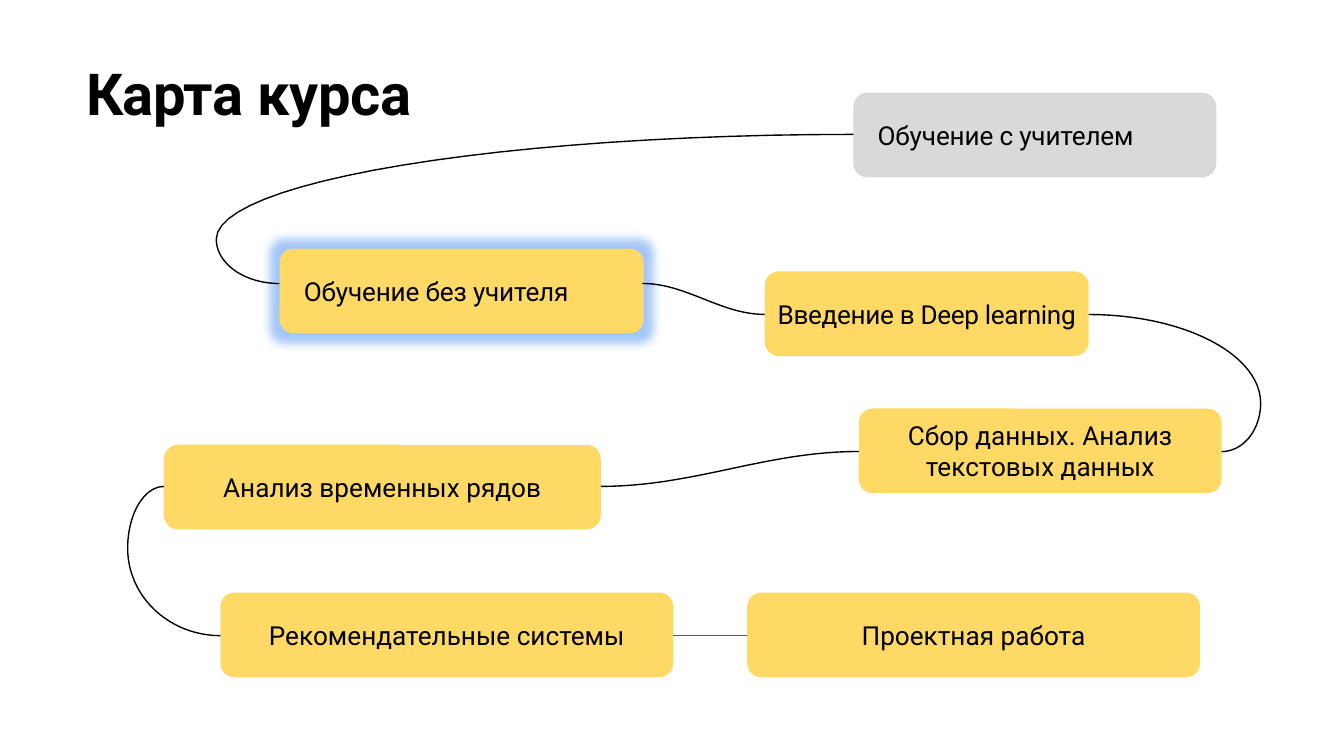
from math import cos, pi, sin

from lxml import etree
from pptx import Presentation
from pptx.dml.color import RGBColor
from pptx.enum.shapes import MSO_CONNECTOR, MSO_SHAPE
from pptx.enum.text import MSO_ANCHOR, PP_ALIGN
from pptx.oxml.ns import qn
from pptx.util import Inches, Pt

ROUNDED = MSO_SHAPE.ROUNDED_RECTANGLE
STRAIGHT = MSO_CONNECTOR.STRAIGHT
LEFT, CENTER = PP_ALIGN.LEFT, PP_ALIGN.CENTER
MIDDLE, TOP = MSO_ANCHOR.MIDDLE, MSO_ANCHOR.TOP

FONT = "Roboto"
COLORS = {
    "text": "000000",
    "done": "D9D9D9",
    "topic": "FFD966",
    "glow": "4A90F0",
    "path": "000000",
    "last_path": "595959",
}
TOPIC_HEIGHT = 0.63
CURVE_STEPS = 24

# text, left, top, width, fill, alignment, side inset, letter spacing
CURRENT_TOPIC = ("Обучение без учителя", 2.08, 1.85, 2.71, "topic", LEFT, 0.15, -0.1)
OTHER_TOPICS = [
    ("Обучение с учителем", 6.35, 0.69, 2.7, "done", LEFT, 0.15, -0.1),
    ("Введение в Deep learning", 5.69, 2.02, 2.41, "topic", CENTER, 0, -0.2),
    ("Анализ временных рядов", 1.22, 3.31, 3.25, "topic", CENTER, 0, 0),
    ("Сбор данных. Анализ текстовых данных", 6.39, 3.04, 2.7, "topic", CENTER, 0, 0),
    ("Рекомендательные системы", 1.64, 4.41, 3.37, "topic", CENTER, 0, 0),
    ("Проектная работа", 5.56, 4.41, 3.37, "topic", CENTER, 0, 0),
]

# start, outermost point of the bend, end
LOOPS = [
    ((6.35, 1.0), (1.61, 1.78), (2.08, 2.11)),
    ((8.1, 2.34), (9.38, 3.0), (9.09, 3.36)),
    ((1.22, 3.62), (0.95, 4.08), (1.64, 4.73)),
]

# start, end
WAVES = [
    ((4.78, 2.11), (5.69, 2.34)),
    ((4.47, 3.62), (6.39, 3.36)),
]


def rgb(name):
    return RGBColor.from_string(COLORS[name])


def style_font(font, size, bold=False):
    font.name = FONT
    font.size = Pt(size)
    font.bold = bold
    font.color.rgb = rgb("text")


def set_insets(frame, side, top, bottom):
    frame.margin_left = frame.margin_right = Inches(side)
    frame.margin_top, frame.margin_bottom = Inches(top), Inches(bottom)


def add_spaced_run(paragraph, text, spacing):
    """Add a run with letter spacing in points."""
    run = paragraph.add_run()
    run.text = text
    if spacing:
        run._r.get_or_add_rPr().set("spc", str(round(spacing * 100)))


def format_title(title):
    title.left, title.top = Inches(0.64), Inches(0.42)
    title.width, title.height = Inches(6.81), Inches(0.54)
    frame = title.text_frame
    set_insets(frame, 0, 0.01, 0)
    frame.vertical_anchor = TOP
    paragraph = frame.paragraphs[0]
    paragraph.alignment = LEFT
    add_spaced_run(paragraph, "Карта ", -0.3)
    add_spaced_run(paragraph, "курса", -0.1)
    style_font(paragraph.font, 31, bold=True)


def add_topic(slide, text, left, top, width, fill, alignment, inset, spacing):
    topic = slide.shapes.add_shape(
        ROUNDED, Inches(left), Inches(top), Inches(width), Inches(TOPIC_HEIGHT))
    topic.shadow.inherit = False
    topic.fill.solid()
    topic.fill.fore_color.rgb = rgb(fill)
    topic.line.fill.background()
    frame = topic.text_frame
    frame.word_wrap = True
    frame.vertical_anchor = MIDDLE
    set_insets(frame, inset, 0, 0)
    paragraph = frame.paragraphs[0]
    paragraph.alignment = alignment
    add_spaced_run(paragraph, text, spacing)
    style_font(paragraph.font, 14)
    return topic


def add_glow(topic):
    effects = topic._element.spPr.find(qn("a:effectLst"))
    glow = etree.SubElement(effects, qn("a:glow"), rad=str(Inches(0.14)))
    color = etree.SubElement(glow, qn("a:srgbClr"), val=COLORS["glow"])
    etree.SubElement(color, qn("a:alpha"), val="50000")


def style_path(line, color):
    line.color.rgb = rgb(color)
    line.width = Pt(0.75)


def add_curve(slide, points):
    corners = [(Inches(x), Inches(y)) for x, y in points]
    builder = slide.shapes.build_freeform(*corners[0])
    builder.add_line_segments(corners[1:], close=False)
    curve = builder.convert_to_shape()
    curve.shadow.inherit = False
    curve.fill.background()
    style_path(curve.line, "path")


def loop_points(start, bend, end):
    """Two quarter ellipses that meet at the bend."""
    angles = [pi / 2 * step / CURVE_STEPS for step in range(CURVE_STEPS + 1)]
    outward = [(start[0] + (bend[0] - start[0]) * sin(a),
                bend[1] + (start[1] - bend[1]) * cos(a)) for a in angles]
    inward = [(end[0] + (bend[0] - end[0]) * cos(a),
               bend[1] + (end[1] - bend[1]) * sin(a)) for a in angles]
    return outward + inward[1:]


def wave_points(start, end):
    """Half a cosine wave, level at both ends."""
    shares = [step / CURVE_STEPS for step in range(CURVE_STEPS + 1)]
    return [(start[0] + (end[0] - start[0]) * t,
             start[1] + (end[1] - start[1]) * (1 - cos(pi * t)) / 2) for t in shares]


def add_last_link(slide):
    link = slide.shapes.add_connector(
        STRAIGHT, Inches(5.01), Inches(4.73), Inches(5.56), Inches(4.73))
    style_path(link.line, "last_path")
    etree.SubElement(link._element.spPr, qn("a:effectLst"))


def main():
    deck = Presentation()
    deck.slide_width, deck.slide_height = Inches(10), Inches(5.625)
    slide = deck.slides.add_slide(deck.slide_layouts[5])
    format_title(slide.shapes.title)
    add_glow(add_topic(slide, *CURRENT_TOPIC))
    for topic in OTHER_TOPICS:
        add_topic(slide, *topic)
    for loop in LOOPS:
        add_curve(slide, loop_points(*loop))
    for wave in WAVES:
        add_curve(slide, wave_points(*wave))
    add_last_link(slide)
    deck.save("out.pptx")


if __name__ == "__main__":
    main()
